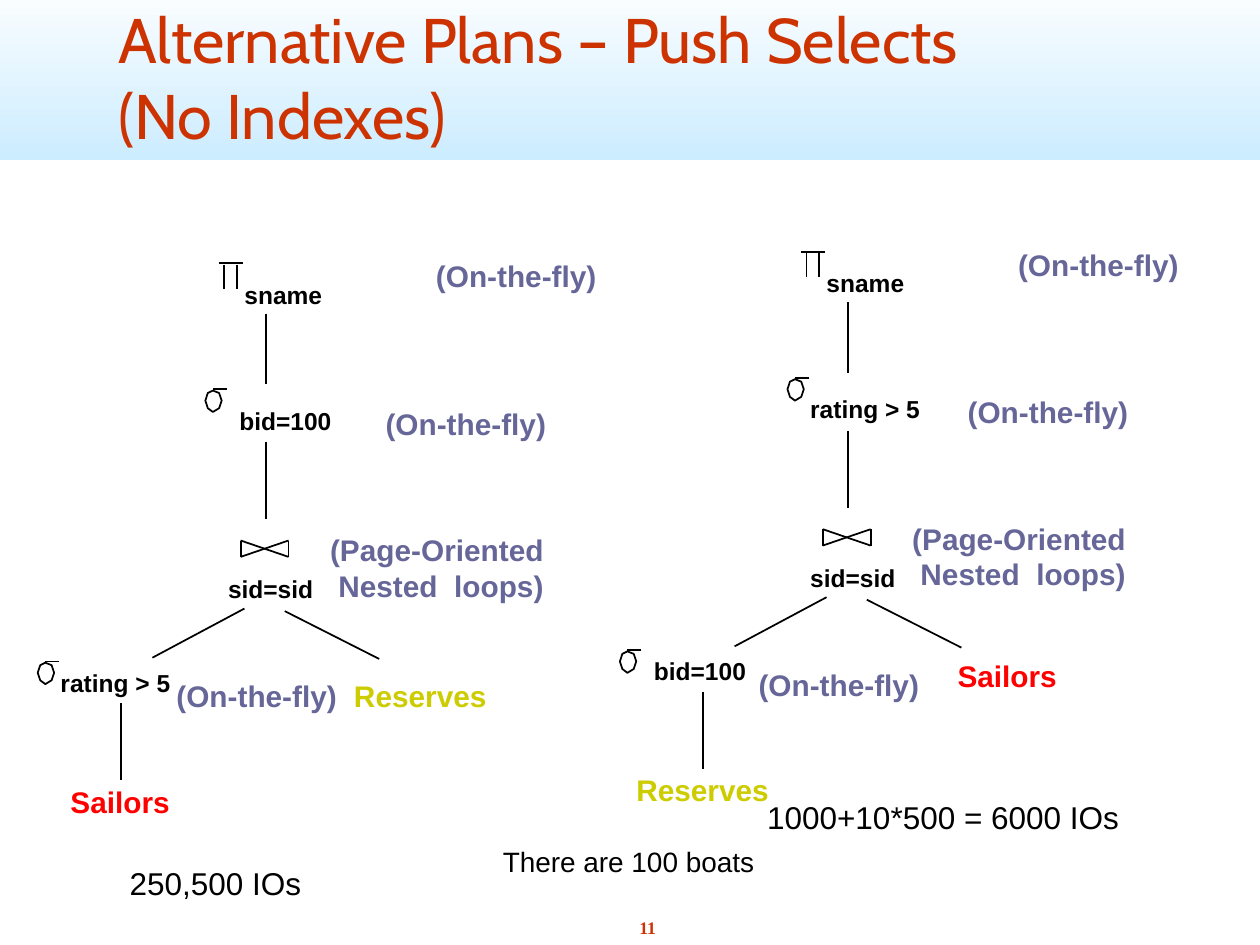
from pptx import Presentation
from pptx.dml.color import RGBColor
from pptx.enum.shapes import MSO_CONNECTOR, MSO_SHAPE
from pptx.enum.text import MSO_ANCHOR, MSO_AUTO_SIZE, PP_ALIGN
from pptx.oxml.ns import qn
from pptx.util import Pt
from lxml import etree

PX = 9144  # EMU per px, 100 px to the inch
BLACK = RGBColor(0x00, 0x00, 0x00)
WHITE = RGBColor(0xFF, 0xFF, 0xFF)
SKY = RGBColor(0xCC, 0xEC, 0xFF)
RUST = RGBColor(0xCC, 0x33, 0x00)
RED = RGBColor(0xFF, 0x00, 0x00)
OLIVE = RGBColor(0xCC, 0xCC, 0x00)
SLATE = RGBColor(0x66, 0x66, 0x99)

# Text, width and distance from the sigma sign
BID = ("bid=100", 89, 22)
RATING = ("rating > 5", 98, 13)
# Text, width and colour
SAILORS = ("Sailors", 90, RED)
RESERVES = ("Reserves", 116, OLIVE)
SIGMA_RING = [(13, 8), (11, 2), (6, 0), (2, 2), (0, 8), (2, 14), (6, 17), (11, 14)]


def px(*values):
    return [v * PX for v in values]


def format_text(sp, text, size, color, font="Arial", bold=False,
                align=PP_ALIGN.LEFT, anchor=MSO_ANCHOR.TOP, wrap=False):
    tf = sp.text_frame
    tf.text = text
    tf.word_wrap = wrap
    tf.auto_size = MSO_AUTO_SIZE.SHAPE_TO_FIT_TEXT
    tf.vertical_anchor = anchor
    tf.margin_left = tf.margin_right = tf.margin_top = tf.margin_bottom = 5 * PX
    for p in tf.paragraphs:
        p.alignment = align
        for r in p.runs:
            r.font.size = Pt(size)
            r.font.name = font
            r.font.bold = bold
            r.font.color.rgb = color


def add_text(shapes, box, text, size, color=BLACK, **style):
    format_text(shapes.add_textbox(*px(*box)), text, size, color, **style)


def add_line(shapes, x1, y1, x2, y2):
    line = shapes.add_connector(MSO_CONNECTOR.STRAIGHT, *px(x1, y1, x2, y2))
    line.line.color.rgb = BLACK
    line.line.width = Pt(1)
    etree.SubElement(line._element.spPr, qn("a:effectLst"))


def add_sigma(shapes, x, y):
    points = [px(x + dx, y + dy) for dx, dy in SIGMA_RING]
    builder = shapes.build_freeform(*points[0])
    builder.add_line_segments(points[1:], close=True)
    ring = builder.convert_to_shape()
    ring.fill.background()
    ring.line.color.rgb = BLACK
    ring.line.width = Pt(1)
    ring.shadow.inherit = False
    add_line(shapes, x + 6, y - 1, x + 17, y - 1)


def add_header(s):
    band = s.shapes.add_shape(MSO_SHAPE.RECTANGLE, *px(0, -17, 1000, 144))
    band.shadow.inherit = False
    band.line.fill.background()
    band.fill.gradient()
    band.fill.gradient_angle = 90
    for stop, color, position in zip(band.fill.gradient_stops, (SKY, WHITE), (0, 1)):
        stop.color.rgb = color
        stop.position = position
    s.shapes._spTree.insert(2, band._element)  # behind the title

    title = s.shapes.title
    title.left, title.top, title.width, title.height = px(89, -4, 872, 129)
    format_text(title, "Alternative Plans – Push Selects\v(No Indexes)", 36, RUST,
                font="Cabin", anchor=MSO_ANCHOR.MIDDLE, wrap=True)


def add_plan(s, x, y, upper, lower, lower_leaf, right_leaf, right_leaf_at):
    """Draw a query plan tree; upper and lower are its two selections."""
    shapes = s.shapes.add_group_shape().shapes

    def line(x1, y1, x2, y2):
        add_line(shapes, x + x1, y + y1, x + x2, y + y2)

    def label(dx, dy, w, text, color=BLACK, size=17, h=37):
        add_text(shapes, (x + dx, y + dy, w, h), text, size, color, bold=True)

    def small_label(dx, dy, w, text):
        label(dx, dy, w, text, size=14, h=31)

    # Projection
    line(144, 0, 163, 0)
    for leg in (148, 158):
        line(leg, 1, leg, 20)
    small_label(159, 8, 73, "sname")

    # Selections
    for (text, w, gap), dx, sigma_y, text_y in ((upper, 133, 101, 108),
                                                (lower, 0, 317, 316)):
        add_sigma(shapes, x + dx, y + sigma_y)
        small_label(dx + gap, text_y, w, text)

    # Join
    left, right, top, bottom = 161, 199, 220, 233
    for side in (left, right):
        line(side, top, side, bottom)
    line(left, top, right, bottom)
    line(left, bottom, right, top)
    small_label(146, 242, 79, "sid=sid")
    label(227, 208, 180, "(Page-Oriented\n Nested  loops)", SLATE, h=65)

    # Edges
    for edge in ((181, 40, 181, 96), (181, 142, 181, 203), (91, 313, 164, 274),
                 (196, 276, 271, 314), (66, 349, 66, 410)):
        line(*edge)

    for dx, dy in ((311, -9), (271, 108), (105, 324)):
        label(dx, dy, 138, "(On-the-fly)", SLATE)

    # Tables, the lower one centred under its edge
    text, w, color = lower_leaf
    label(66 - w // 2, 408, w, text, color)
    text, w, color = right_leaf
    label(*right_leaf_at, w, text, color)


def add_notes_and_number(s):
    centred = {"align": PP_ALIGN.CENTER, "anchor": MSO_ANCHOR.MIDDLE}
    add_text(s.shapes, (603, 628, 291, 41), "1000+10*500 = 6000 IOs", 18, **centred)
    add_text(s.shapes, (97, 680, 148, 41), "250,500 IOs", 18, **centred)
    add_text(s.shapes, (394, 665, 212, 36), "There are 100 boats", 16)
    add_text(s.shapes, (501, 723, 26, 27), "11", 10, RUST, font="Times New Roman",
             bold=True, align=PP_ALIGN.CENTER)


def main():
    prs = Presentation()
    prs.slide_width, prs.slide_height = px(1000, 750)
    s = prs.slides.add_slide(prs.slide_layouts[5])
    add_header(s)
    add_plan(s, 30, 209, BID, RATING, SAILORS, RESERVES, (246, 324))
    add_plan(s, 492, 200, RATING, BID, RESERVES, SAILORS, (263, 317))
    add_notes_and_number(s)
    prs.save("out.pptx")


if __name__ == "__main__":
    main()
